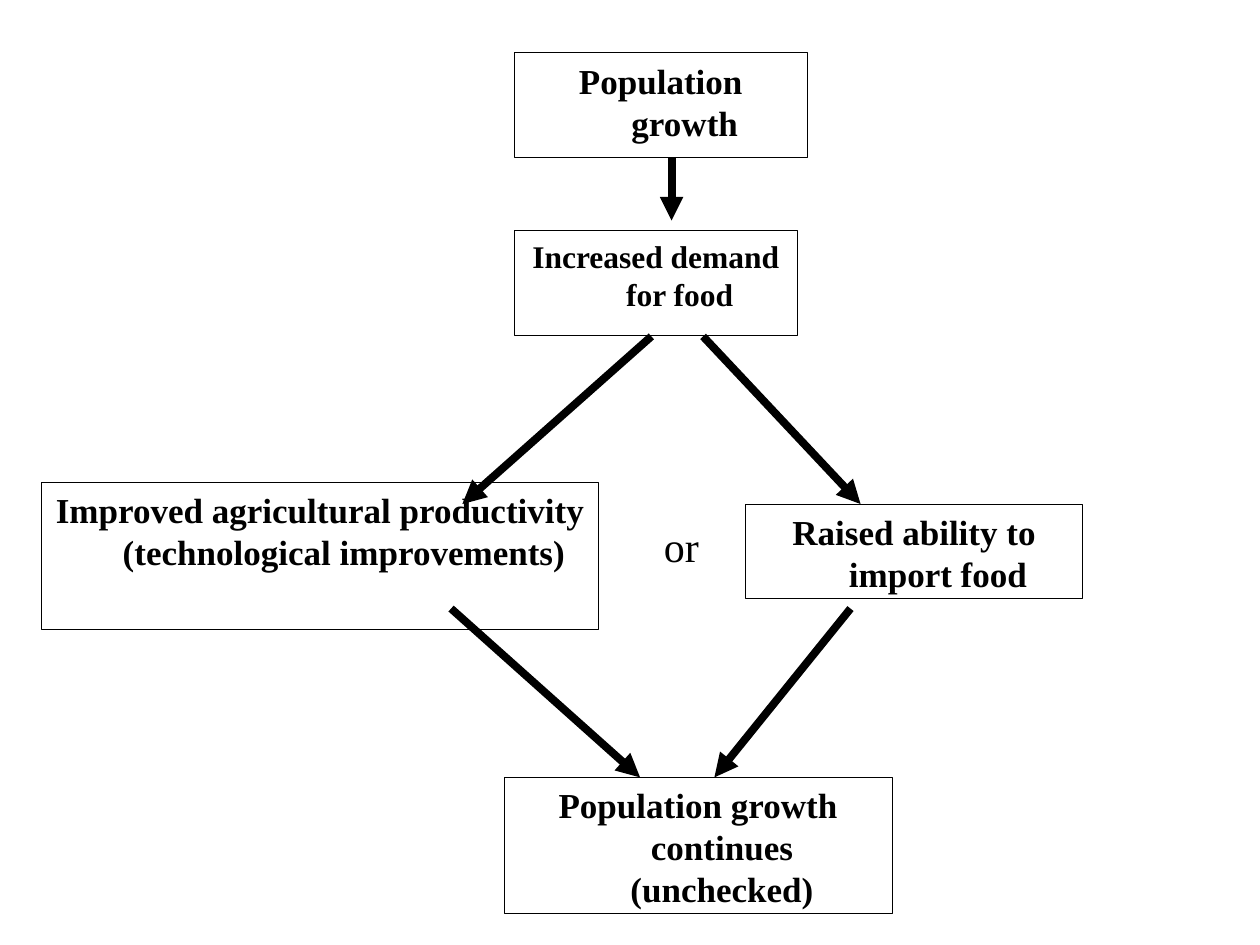
from lxml.etree import SubElement
from pptx import Presentation
from pptx.dml.color import RGBColor
from pptx.enum.shapes import MSO_CONNECTOR, MSO_SHAPE
from pptx.enum.text import MSO_ANCHOR, MSO_AUTO_SIZE, PP_ALIGN
from pptx.oxml.ns import qn
from pptx.util import Inches, Pt

COLOURS = {"ink": "000000", "paper": "FFFFFF"}
FONT = "Times New Roman"

STEPS = [
    ("Population growth", 4.08, 0.42, 2.33, 0.83, 20),
    ("Increased demand for food", 4.08, 1.83, 2.25, 0.83, 18),
    ("Population growth continues (unchecked)", 4, 6.17, 3.08, 1.08, 20),
    ("Raised ability to import food", 5.92, 4, 2.67, 0.75, 20),
    ("Improved agricultural productivity (technological improvements)",
     0.33, 3.83, 4.42, 1.17, 20),
]
ARROWS = [
    (5.17, 2.67, 3.67, 4),
    (5.58, 2.67, 6.83, 4),
    (6.75, 4.83, 5.67, 6.17),
    (3.58, 4.83, 5.08, 6.17),
    (5.33, 1.25, 5.33, 1.75),
]


def colour(name):
    return RGBColor.from_string(COLOURS[name])


def write_text(shape, text, size, bold):
    frame = shape.text_frame
    frame.text = text
    frame.word_wrap = True
    frame.vertical_anchor = MSO_ANCHOR.TOP
    para = frame.paragraphs[0]
    for span in para.runs:
        span.font.name = FONT
        span.font.size = Pt(size)
        span.font.bold = bold
        span.font.color.rgb = colour("ink")
    return para


def add_step(page, text, left, top, width, height, size):
    box = page.shapes.add_shape(
        MSO_SHAPE.RECTANGLE, Inches(left), Inches(top), Inches(width), Inches(height))
    box.shadow.inherit = False
    box.fill.background()
    box.line.color.rgb = colour("ink")
    box.line.width = Pt(0.5)
    para = write_text(box, text, size, True)
    para.alignment = PP_ALIGN.CENTER
    properties = para._p.get_or_add_pPr()
    properties.set("marL", str(Inches(0.38)))
    properties.set("indent", str(-Inches(0.38)))


def add_label(page, text, left, top, width, height, size):
    box = page.shapes.add_textbox(
        Inches(left), Inches(top), Inches(width), Inches(height))
    write_text(box, text, size, False)
    box.text_frame.auto_size = MSO_AUTO_SIZE.SHAPE_TO_FIT_TEXT


def add_arrow(page, *ends):
    arrow = page.shapes.add_connector(MSO_CONNECTOR.STRAIGHT, *map(Inches, ends))
    arrow.line.color.rgb = colour("ink")
    arrow.line.width = Pt(4.5)
    SubElement(arrow.line._get_or_add_ln(), qn("a:tailEnd"), type="triangle")
    SubElement(arrow._element.spPr, qn("a:effectLst"))


def main():
    deck = Presentation()
    deck.slide_width, deck.slide_height = Inches(10), Inches(7.5)
    page = deck.slides.add_slide(deck.slide_layouts[6])
    page.background.fill.solid()
    page.background.fill.fore_color.rgb = colour("paper")
    for step in STEPS:
        add_step(page, *step)
    add_label(page, "or", 5.17, 4.08, 0.5, 0.5, 24)
    for ends in ARROWS:
        add_arrow(page, *ends)
    deck.save("out.pptx")


if __name__ == "__main__":
    main()
